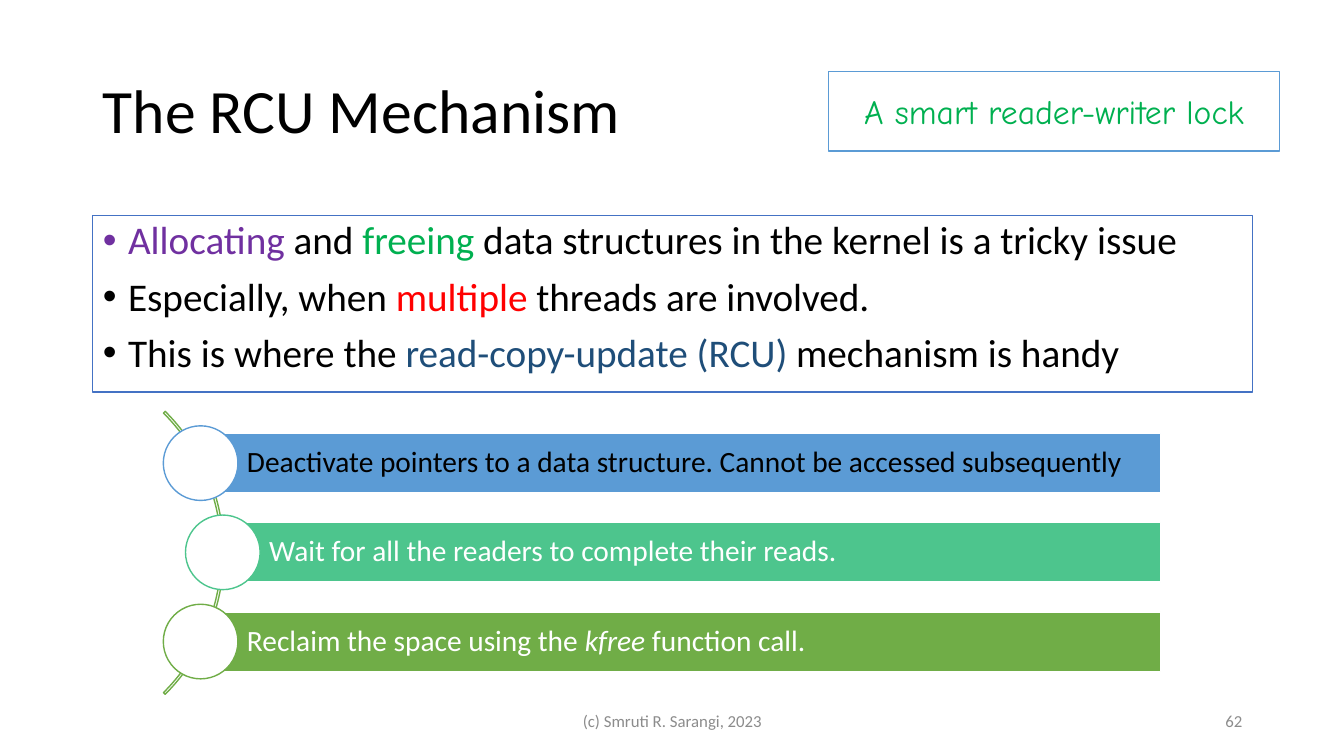
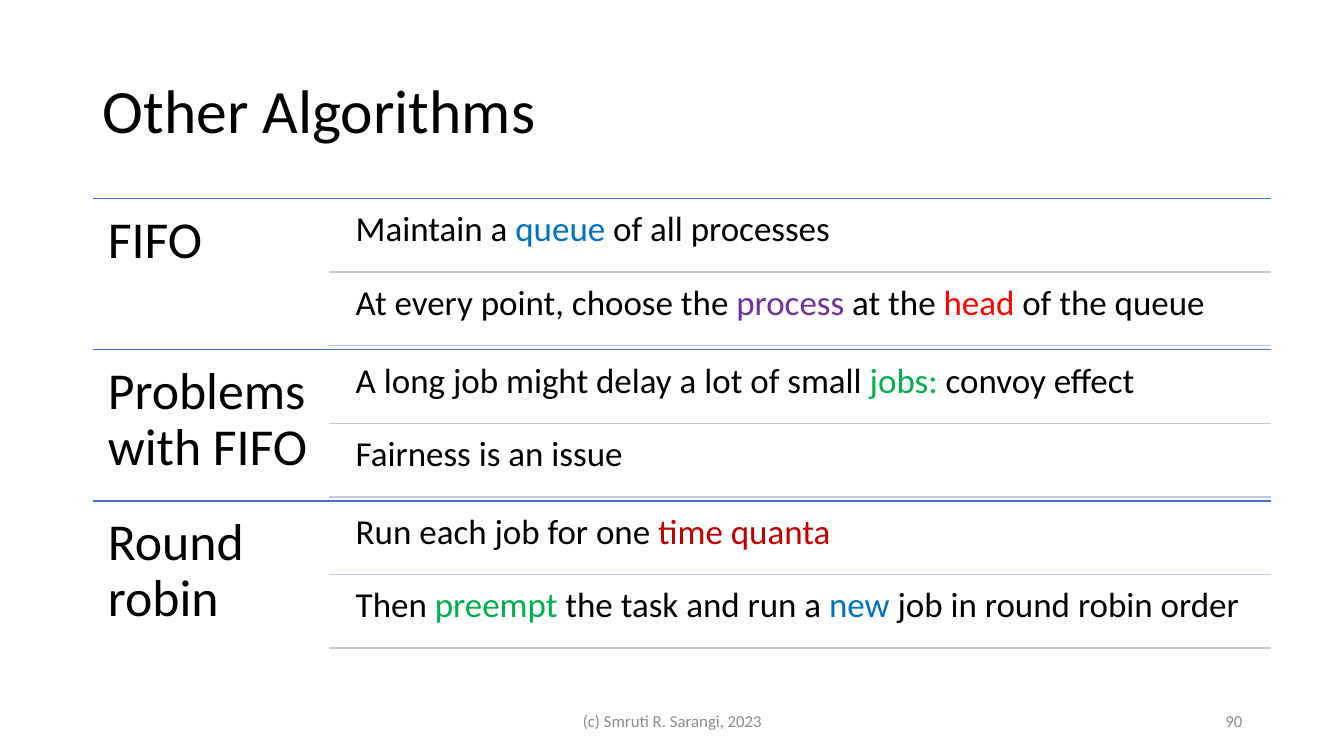
import dataclasses

import lxml.etree
import pptx
import pptx.dml.color
import pptx.enum.shapes
import pptx.enum.text
import pptx.oxml.ns
import pptx.util

Inches = pptx.util.Inches
Align = pptx.enum.text.PP_ALIGN
Anchor = pptx.enum.text.MSO_ANCHOR
Shape = pptx.enum.shapes.MSO_SHAPE


@dataclasses.dataclass(frozen=True)
class Theme:
    font: str = "Calibri"
    callout_font: str = "Comic Neue"
    black: str = "000000"
    white: str = "FFFFFF"
    grey: str = "8C8C8C"
    accent: str = "4472C4"
    pale: str = "C1C9E4"
    sky: str = "5B9BD5"
    mint: str = "4DC58D"
    leaf: str = "70AD47"
    purple: str = "7030A0"
    green: str = "00B050"
    red: str = "FF0000"
    crimson: str = "C00000"
    blue: str = "0070C0"
    navy: str = "1F4E79"
    title_size: int = 44
    heading_size: int = 37
    body_size: int = 28
    row_size: int = 25
    callout_size: int = 24
    step_size: int = 21
    footer_size: int = 12


THEME = Theme()


def rgb(colour):
    return pptx.dml.color.RGBColor.from_string(colour)


def tint(text, colour):
    return text, {"colour": colour}


def add_bullet(para):
    properties = para._p.get_or_add_pPr()
    properties.set("marL", str(Inches(0.25)))
    properties.set("indent", str(-Inches(0.25)))
    bullet = lxml.etree.SubElement(properties, pptx.oxml.ns.qn("a:buChar"))
    bullet.set("char", "•")


def write_text(box, paragraphs, *, size, colour=THEME.black, font=THEME.font,
               align=Align.LEFT, anchor=Anchor.TOP, insets=(0.1, 0.05, 0.1, 0.05),
               line_spacing=0.9, gap=0, bulleted=False):
    frame = box.text_frame
    frame.word_wrap = True
    frame.auto_size = pptx.enum.text.MSO_AUTO_SIZE.NONE
    frame.vertical_anchor = anchor
    (frame.margin_left, frame.margin_top,
     frame.margin_right, frame.margin_bottom) = map(Inches, insets)
    for index, spans in enumerate(paragraphs):
        para = frame.add_paragraph() if index else frame.paragraphs[0]
        if bulleted:
            add_bullet(para)
        para.alignment = align
        para.line_spacing = line_spacing
        para.space_before = pptx.util.Pt(gap if index else 0)
        for item in spans:
            text, style = (item, {}) if isinstance(item, str) else item
            span = para.add_run()
            span.text = text
            span.font.name = font
            span.font.size = pptx.util.Pt(size)
            span.font.italic = style.get("italic", False)
            span.font.color.rgb = rgb(style.get("colour", colour))


class DeckBuilder:
    def __init__(self, theme):
        self.theme = theme
        self.deck = pptx.Presentation()
        self.deck.slide_width = Inches(13.33)
        self.deck.slide_height = Inches(7.5)
        self.page = None

    def new_page(self, title, number, layout):
        self.page = self.deck.slides.add_slide(
            self.deck.slide_layouts.get_by_name(layout))
        heading = self.page.shapes.title
        self.place(heading, 0.92, 0.4, 11.5, 1.45)
        write_text(heading, [[title]], size=self.theme.title_size, anchor=Anchor.MIDDLE)
        footer = {"size": self.theme.footer_size, "colour": self.theme.grey,
                  "anchor": Anchor.MIDDLE, "line_spacing": 1.0}
        self.text(4.42, 6.95, 4.5, 0.4, ["(c) Smruti R. Sarangi, 2023"],
                  align=Align.CENTER, **footer)
        self.text(9.42, 6.95, 3, 0.4, [str(number)], align=Align.RIGHT, **footer)

    def place(self, box, left, top, width, height):
        box.left, box.top, box.width, box.height = map(Inches, (left, top, width, height))

    def paint(self, box, fill, line):
        if fill:
            box.fill.solid()
            box.fill.fore_color.rgb = rgb(fill)
        else:
            box.fill.background()
        box.line.color.rgb = rgb(line)
        box.line.width = pptx.util.Pt(1)

    def text(self, left, top, width, height, spans, **style):
        box = self.page.shapes.add_textbox(*map(Inches, (left, top, width, height)))
        write_text(box, [spans], **style)

    def shape(self, kind, left, top, width, height, fill, line):
        box = self.page.shapes.add_shape(kind, *map(Inches, (left, top, width, height)))
        box.shadow.inherit = False
        self.paint(box, fill, line)
        return box

    def bullets(self, left, top, width, height, paragraphs):
        box = self.page.placeholders[1]
        self.place(box, left, top, width, height)
        self.paint(box, self.theme.white, self.theme.accent)
        write_text(box, paragraphs, size=self.theme.body_size, gap=10, bulleted=True)

    def rule(self, left, right, top, colour):
        line = self.page.shapes.add_connector(
            pptx.enum.shapes.MSO_CONNECTOR.STRAIGHT,
            *map(Inches, (left, top, right, top)))
        line.line.color.rgb = rgb(colour)
        line.line.width = pptx.util.Pt(1)
        lxml.etree.SubElement(line._element.spPr, pptx.oxml.ns.qn("a:effectLst"))

    def callout(self, left, top, width, height, text):
        box = self.shape(Shape.RECTANGLE, left, top, width, height,
                         self.theme.white, self.theme.sky)
        write_text(box, [[text]], size=self.theme.callout_size,
                   colour=self.theme.green, font=self.theme.callout_font,
                   align=Align.CENTER, anchor=Anchor.MIDDLE, line_spacing=1.0)

    def arc(self, left, top, diameter):
        box = self.shape(Shape.BLOCK_ARC, left, top, diameter, diameter,
                         None, self.theme.leaf)
        for index, value in enumerate((189, 27, 0.006)):
            box.adjustments[index] = value

    def step(self, left, right, top, fill, colour, spans):
        height, diameter = 0.59, 0.74
        bar = self.shape(Shape.RECTANGLE, left, top, right - left, height,
                         fill, self.theme.white)
        write_text(bar, [spans], size=self.theme.step_size, colour=colour,
                   anchor=Anchor.MIDDLE, insets=(0.47, 0.06, 0.06, 0.06))
        self.shape(Shape.OVAL, left - diameter / 2 + 0.01, top + (height - diameter) / 2,
                   diameter, diameter, self.theme.white, fill)

    def topic(self, top, heading, rows):
        left, divider, right, row_height = 0.92, 3.26, 12.61, 0.73
        self.rule(left, right, top, self.theme.accent)
        self.text(left, top, divider - left, 1.5, [heading],
                  size=self.theme.heading_size, insets=[0.15] * 4)
        for index, spans in enumerate(rows):
            row_top = top + index * row_height
            self.text(3.43, row_top + 0.03, 9.18, 0.7, spans,
                      size=self.theme.row_size, insets=[0.1] * 4)
            self.rule(divider, right, row_top + row_height, self.theme.pale)


def build_mechanism(builder):
    theme = builder.theme
    builder.new_page("The RCU Mechanism", 62, "Title and Content")
    builder.bullets(0.92, 2.14, 11.5, 1.75, [
        [tint("Allocating", theme.purple), " and ", tint("freeing", theme.green),
         " data structures in the kernel is a tricky issue"],
        ["Especially, when ", tint("multiple", theme.red), " threads are involved."],
        ["This is where the ", tint("read-copy-update (RCU) ", theme.navy),
         "mechanism is handy"],
    ])
    builder.arc(-1.75, 3.5, 3.97)
    steps = [
        (1.98, theme.sky, theme.black,
         ["Deactivate pointers to a data structure. Cannot be accessed subsequently"]),
        (2.2, theme.mint, theme.white,
         ["Wait for all the readers to complete their reads."]),
        (1.98, theme.leaf, theme.white,
         ["Reclaim the space using the ", ("kfree", {"italic": True}), " function call."]),
    ]
    pitch = 1.77 / (len(steps) - 1)
    for index, (left, fill, colour, spans) in enumerate(steps):
        builder.step(left, 11.51, 4.3 + index * pitch, fill, colour, spans)
    builder.callout(8.22, 0.71, 4.47, 0.79, "A smart reader-writer lock")


def build_algorithms(builder):
    theme = builder.theme
    builder.new_page("Other Algorithms", 90, "Title Only")
    topics = [
        ("FIFO", [
            ["Maintain a ", tint("queue", theme.blue), " of all processes"],
            ["At every point, choose the ", tint("process", theme.purple), " at the ",
             tint("head", theme.red), " of the queue"],
        ]),
        ("Problems with FIFO", [
            ["A long job might delay a lot of small ", tint("jobs: ", theme.green),
             "convoy effect"],
            ["Fairness is an issue"],
        ]),
        ("Round robin", [
            ["Run each job for one ", tint("time quanta", theme.crimson)],
            ["Then ", tint("preempt", theme.green), " the task and run a ",
             tint("new", theme.blue), " job in round robin order"],
        ]),
    ]
    for index, (heading, rows) in enumerate(topics):
        builder.topic(1.97 + index * 1.5, heading, rows)


def main():
    builder = DeckBuilder(THEME)
    build_mechanism(builder)
    build_algorithms(builder)
    builder.deck.save("out.pptx")


if __name__ == "__main__":
    main()
